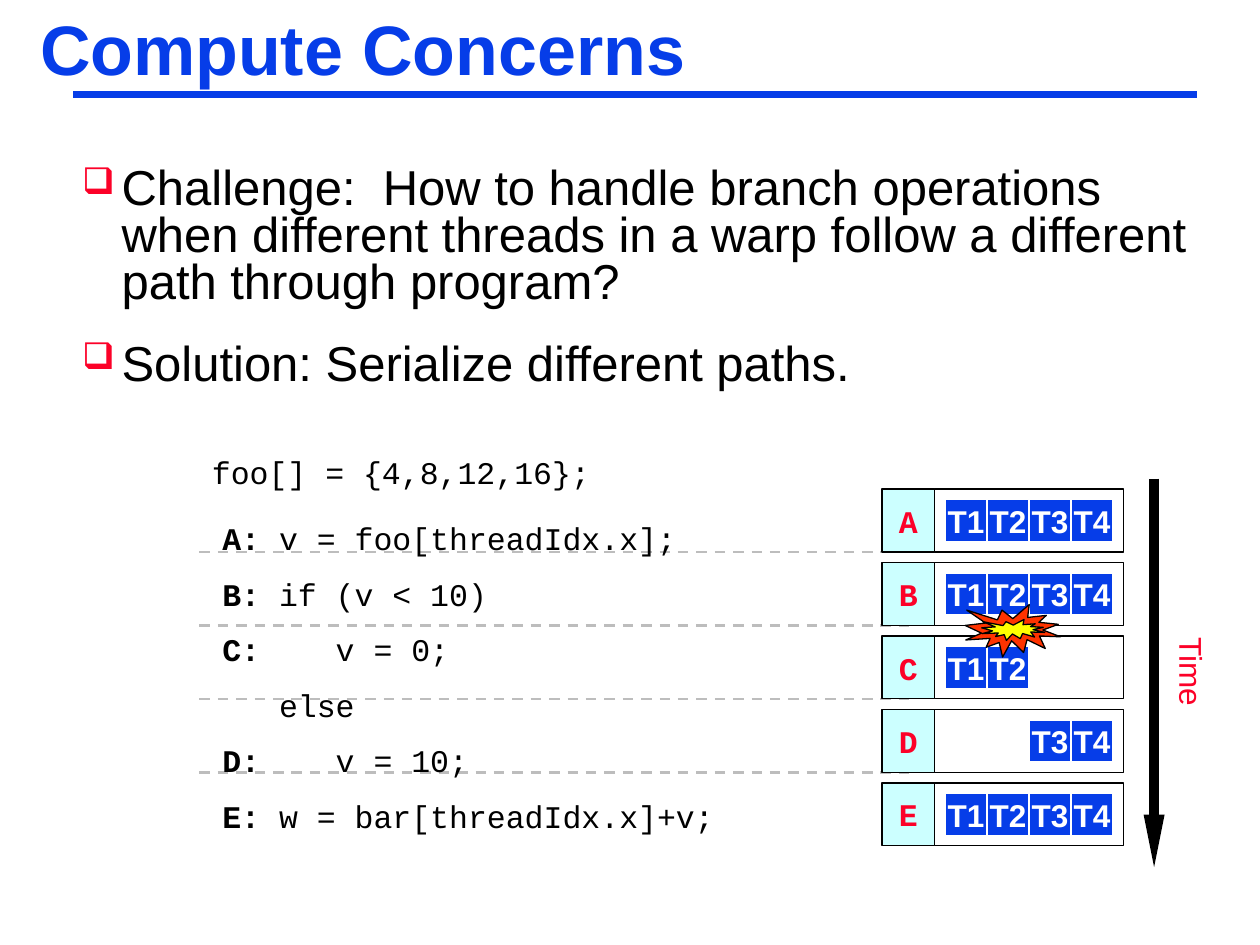
from lxml import etree
from pptx import Presentation
from pptx.dml.color import RGBColor
from pptx.enum.dml import MSO_LINE
from pptx.enum.shapes import MSO_CONNECTOR, MSO_SHAPE
from pptx.enum.text import MSO_ANCHOR, PP_ALIGN
from pptx.oxml.ns import qn
from pptx.util import Pt

RECTANGLE = MSO_SHAPE.RECTANGLE
BURST = MSO_SHAPE.EXPLOSION1
STRAIGHT = MSO_CONNECTOR.STRAIGHT
DASH = MSO_LINE.DASH
MIDDLE = MSO_ANCHOR.MIDDLE
CENTER = PP_ALIGN.CENTER

BLUE = RGBColor(0x06, 0x3D, 0xE8)
RED = RGBColor(0xFC, 0x01, 0x28)
BLACK = RGBColor(0, 0, 0)
WHITE = RGBColor(0xFF, 0xFF, 0xFF)
GRAY = RGBColor(0xBD, 0xBD, 0xBD)
CYAN = RGBColor(0xCC, 0xFF, 0xFF)
ORANGE = RGBColor(0xFF, 0x33, 0x00)
YELLOW = RGBColor(0xFF, 0xFF, 0x00)

SANS = "Arial"
MONO = "Courier New"

BULLETS = [
    "Challenge:  How to handle branch operations when different threads "
    "in a warp follow a different path through program?",
    "Solution: Serialize different paths.",
]
CODE = [
    ("A: ", "v = foo[threadIdx.x];"),
    ("B: ", "if (v < 10)"),
    ("C:    ", "v = 0;"),
    ("   ", "else"),
    ("D:    ", "v = 10;"),
    ("E: ", "w = bar[threadIdx.x]+v;"),
]
STEPS = {"A": (1, 2, 3, 4), "B": (1, 2, 3, 4), "C": (1, 2), "D": (3, 4), "E": (1, 2, 3, 4)}

ROW_LEFT, ROW_TOP, ROW_HEIGHT, ROW_STEP = 504, 279.4, 36, 42
LABEL_WIDTH, FRAME_WIDTH, THREAD_SIZE, THREAD_GAP = 30, 108, 24, 6


def add_span(para, text, size=18, font=SANS, color=BLACK, bold=False):
    span = para.add_run()
    span.text = text
    span.font.size = Pt(size)
    span.font.name = font
    span.font.color.rgb = color
    span.font.bold = bold
    return span


class Painter:
    def __init__(self, slide):
        self.slide = slide
        self.shapes = slide.shapes

    def start_group(self):
        self.shapes = self.slide.shapes.add_group_shape().shapes

    def end_group(self):
        self.shapes = self.slide.shapes

    def line(self, start, end, color, width, dash=None, arrow=False):
        line = self.shapes.add_connector(STRAIGHT, *map(Pt, start + end))
        line.line.color.rgb = color
        line.line.width = Pt(width)
        if dash:
            line.line.dash_style = dash
        if arrow:
            etree.SubElement(line.line._get_or_add_ln(), qn("a:tailEnd"),
                             type="triangle", w="sm", len="lg")
        etree.SubElement(line._element.spPr, qn("a:effectLst"))

    def shape(self, kind, place, fill=None, outline=BLACK, text=None, **style):
        shape = self.shapes.add_shape(kind, *map(Pt, place))
        shape.shadow.inherit = False
        if fill is None:
            shape.fill.background()
        else:
            shape.fill.solid()
            shape.fill.fore_color.rgb = fill
        shape.line.color.rgb = outline
        shape.line.width = Pt(0.75)
        if text:
            frame = shape.text_frame
            frame.word_wrap = False
            frame.vertical_anchor = MIDDLE
            para = frame.paragraphs[0]
            para.alignment = CENTER
            add_span(para, text, bold=True, **style)

    def text(self, place, paras, wrap=True, insets=(7.2, 3.6), spacing=None,
             before=0, bullet=None, vertical=None):
        box = self.shapes.add_textbox(*map(Pt, place))
        frame = box.text_frame
        frame.word_wrap = wrap
        frame.margin_left = frame.margin_right = Pt(insets[0])
        frame.margin_top = frame.margin_bottom = Pt(insets[1])
        if vertical:
            frame._txBody.bodyPr.set("vert", vertical)
        for index, spans in enumerate(paras):
            para = frame.add_paragraph() if index else frame.paragraphs[0]
            if spacing:
                para.line_spacing = spacing
            if index:
                para.space_before = Pt(before)
            if bullet:
                self.bullet(para, bullet)
            for text, style in spans:
                add_span(para, text, **style)

    def bullet(self, para, symbol):
        props = para._p.get_or_add_pPr()
        props.set("marL", str(Pt(22.5)))
        props.set("indent", str(-Pt(22.5)))
        color = etree.SubElement(props, qn("a:buClr"))
        etree.SubElement(color, qn("a:srgbClr"), val=str(RED))
        etree.SubElement(props, qn("a:buSzPct"), val="75000")
        etree.SubElement(props, qn("a:buChar"), char=symbol)

    def step(self, top, label, threads):
        self.start_group()
        frame_left = ROW_LEFT + LABEL_WIDTH
        self.shape(RECTANGLE, (frame_left, top, FRAME_WIDTH, ROW_HEIGHT))
        self.shape(RECTANGLE, (ROW_LEFT, top, LABEL_WIDTH, ROW_HEIGHT), CYAN,
                   text=label, font=MONO, color=RED)
        for thread in threads:
            left = frame_left + THREAD_GAP + (thread - 1) * THREAD_SIZE
            self.shape(RECTANGLE, (left, top + THREAD_GAP, THREAD_SIZE, THREAD_SIZE),
                       BLUE, WHITE, f"T{thread}", color=WHITE)
        self.end_group()


def main():
    deck = Presentation()
    deck.slide_width, deck.slide_height = Pt(720), Pt(540)
    painter = Painter(deck.slides.add_slide(deck.slide_layouts[6]))

    painter.line((42, 54), (684, 54), BLUE, 4.5)
    title = {"size": 40, "color": BLUE, "bold": True}
    painter.text((18, 5, 642, 88.5), [[("Compute Concerns", title)]],
                 insets=(5, 4.5), spacing=0.87)

    painter.start_group()
    for index in range(len(STEPS) - 1):
        height = ROW_TOP + ROW_HEIGHT + index * ROW_STEP
        painter.line((114, height), (522, height), GRAY, 1.5, DASH)
    painter.end_group()

    painter.text((42, 93.6, 648, 144), [[(text, {"size": 28})] for text in BULLETS],
                 insets=(5, 2.5), spacing=0.8, before=19.5, bullet="❑")
    code = [[(label, {"font": MONO, "bold": True}), (body, {"font": MONO})]
            for label, body in CODE]
    painter.text((120, 293, 318, 193), code, before=10.2)

    painter.line((659.5, 273.5), (659.5, 495.5), BLACK, 6, arrow=True)
    painter.text((659.5, 357, 36, 47), [[("Time", {"color": RED})]],
                 wrap=False, vertical="eaVert")

    for index, (label, threads) in enumerate(STEPS.items()):
        painter.step(ROW_TOP + index * ROW_STEP, label, threads)

    painter.start_group()
    painter.shape(BURST, (551.5, 345.5, 54.5, 30), ORANGE)
    painter.shape(BURST, (561, 354, 36, 12), YELLOW)
    painter.end_group()
    painter.text((114, 255.5, 232, 29), [[("foo[] = {4,8,12,16};", {"font": MONO})]],
                 wrap=False)
    deck.save("out.pptx")


if __name__ == "__main__":
    main()
